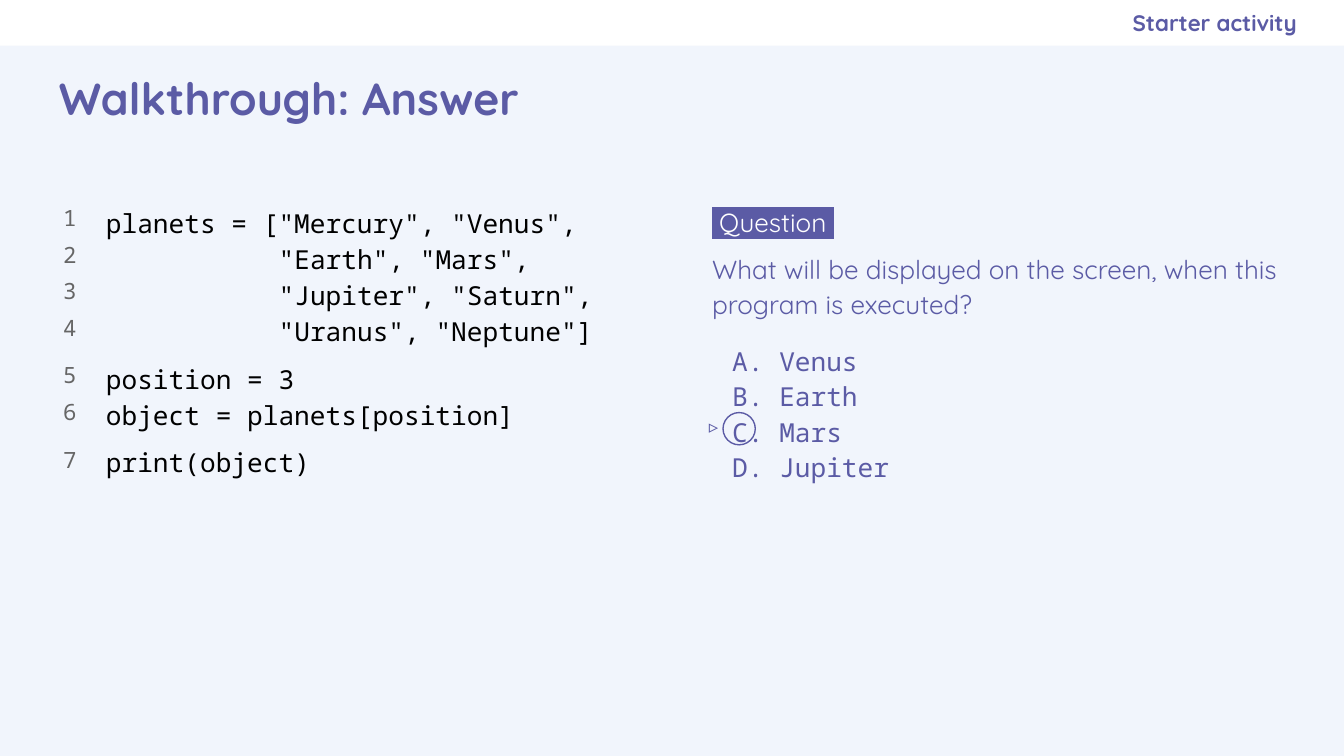
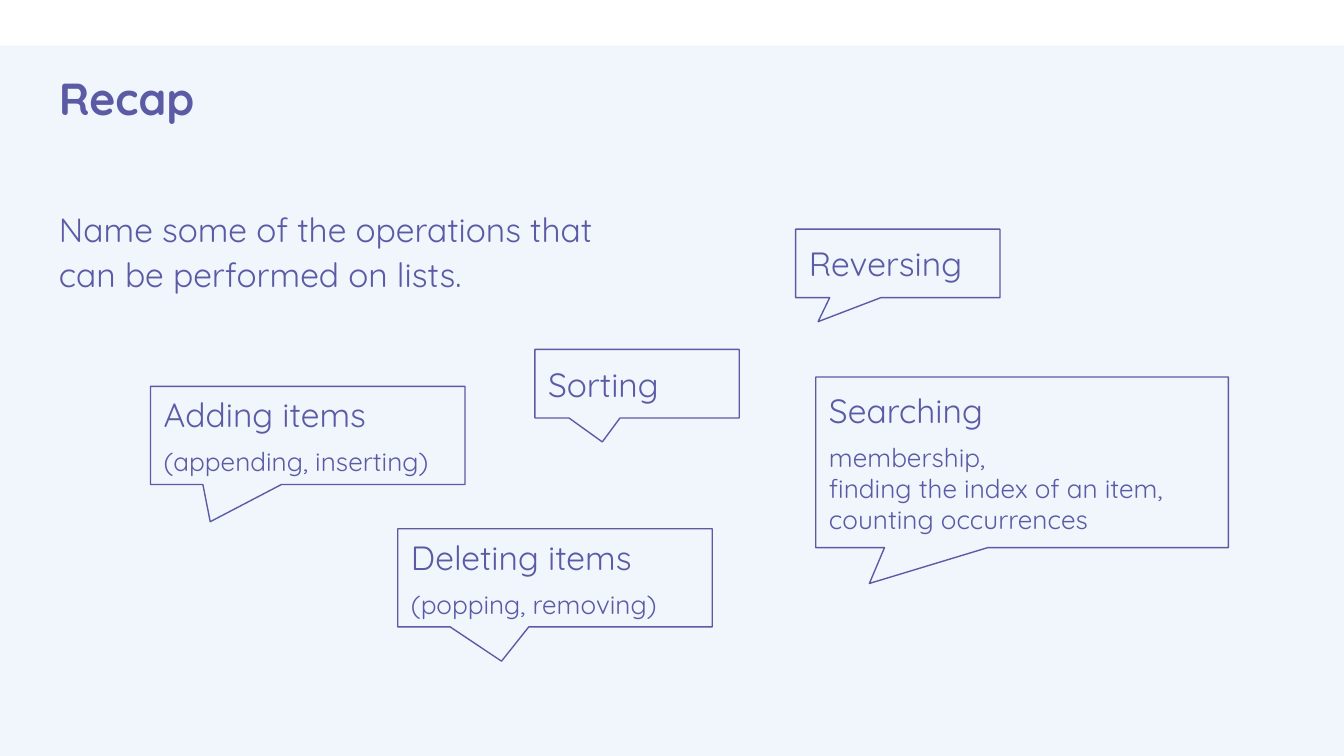
"""Builds two lesson slides: a quiz answer walkthrough and a list recap."""
from typing import NamedTuple

from lxml import etree
from pptx import Presentation
from pptx.dml.color import RGBColor
from pptx.enum.shapes import MSO_SHAPE
from pptx.enum.text import MSO_ANCHOR, PP_ALIGN
from pptx.oxml.ns import qn
from pptx.util import Emu, Pt

PURPLE = RGBColor(0x5B, 0x5B, 0xA5)
PALE_BLUE = RGBColor(0xF1, 0xF5, 0xFC)
WHITE = RGBColor(0xFF, 0xFF, 0xFF)
BLACK = RGBColor(0x00, 0x00, 0x00)
GREY = RGBColor(0x66, 0x66, 0x66)

LEFT, CENTER, RIGHT = PP_ALIGN.LEFT, PP_ALIGN.CENTER, PP_ALIGN.RIGHT
TOP, MIDDLE = MSO_ANCHOR.TOP, MSO_ANCHOR.MIDDLE
RECTANGLE, OVAL = MSO_SHAPE.RECTANGLE, MSO_SHAPE.OVAL
CALLOUT = MSO_SHAPE.ROUNDED_RECTANGULAR_CALLOUT

SANS = "Quicksand"
MONO = "Noto Sans Mono"
PX = 4572
WIDTH, HEIGHT, BAND = 2000, 1125, 68
INSETS = (20, 20, 20, 20)
BODY_INSETS = (20, 20, 12, 20)
NO_INSETS = (0, 0, 0, 0)
CODE_INDENT = 257


class Line(NamedTuple):
    """One paragraph of text and its style."""
    text: str
    size: int = 14
    color: RGBColor = PURPLE
    font: str = SANS
    bold: bool = False
    align: PP_ALIGN = LEFT
    spacing: float = 1.0
    before: int = 0
    after: int = 0
    indent: int = 0
    lettered: bool = False
    highlight: RGBColor | None = None


class Deck:
    """Holds the shared style and the current slide."""

    def __init__(self):
        self.presentation = Presentation()
        self.presentation.slide_width = Emu(WIDTH * PX)
        self.presentation.slide_height = Emu(HEIGHT * PX)
        self.slide = None

    def add_slide(self, title, section=None):
        self.slide = self.presentation.slides.add_slide(self.presentation.slide_layouts[6])
        fill = self.slide.background.fill
        fill.solid()
        fill.fore_color.rgb = PALE_BLUE
        self.shape(RECTANGLE, (0, 0, WIDTH, BAND), fill=WHITE)
        if section:
            self.text((1150, 0, 780, BAND), [Line(section, 12, bold=True, align=RIGHT)],
                      (20, 20, 0, 20), MIDDLE)
        self.text((68, BAND, 1864, 154), [Line(title, 24, bold=True)], INSETS, MIDDLE)

    def shape(self, kind, box, fill=None, outline=None):
        shape = self.slide.shapes.add_shape(kind, *(Emu(length * PX) for length in box))
        shape.shadow.inherit = False
        if fill is None:
            shape.fill.background()
        else:
            shape.fill.solid()
            shape.fill.fore_color.rgb = fill
        if outline is None:
            shape.line.fill.background()
        else:
            shape.line.color.rgb = outline
            shape.line.width = Pt(0.75)
        return shape

    def text(self, box, lines, insets=INSETS, anchor=TOP):
        textbox = self.slide.shapes.add_textbox(*(Emu(length * PX) for length in box))
        self.add_lines(textbox.text_frame, lines, insets, anchor)

    def callout(self, box, tip, lines):
        shape = self.shape(CALLOUT, box, outline=PURPLE)
        for index, value in enumerate((*tip, 0)):
            shape.adjustments[index] = value
        self.add_lines(shape.text_frame, lines, INSETS, MIDDLE)

    def add_lines(self, frame, lines, insets, anchor):
        frame.word_wrap = True
        frame.vertical_anchor = anchor
        (frame.margin_left, frame.margin_top,
         frame.margin_right, frame.margin_bottom) = (Emu(inset * PX) for inset in insets)
        for index, line in enumerate(lines):
            paragraph = frame.add_paragraph() if index else frame.paragraphs[0]
            paragraph.alignment = line.align
            paragraph.line_spacing = line.spacing
            paragraph.space_before = Pt(line.before)
            paragraph.space_after = Pt(line.after)
            self.indent(paragraph, line)
            self.add_run(paragraph, line)

    def indent(self, paragraph, line):
        properties = paragraph._p.get_or_add_pPr()
        if line.indent:
            properties.set("marL", str(line.indent * PX))
        if line.lettered:
            properties.set("indent", str(-70 * PX))
            color = etree.SubElement(properties, qn("a:buClr"))
            etree.SubElement(color, qn("a:srgbClr"), val=str(line.color))
            etree.SubElement(properties, qn("a:buFont"), typeface=line.font)
            etree.SubElement(properties, qn("a:buAutoNum"), type="alphaUcPeriod")

    def add_run(self, paragraph, line):
        run = paragraph.add_run()
        run.text = line.text
        run.font.size = Pt(line.size)
        run.font.bold = line.bold
        run.font.color.rgb = line.color
        run.font.name = line.font
        if line.highlight is not None:
            highlight = etree.Element(qn("a:highlight"))
            etree.SubElement(highlight, qn("a:srgbClr"), val=str(line.highlight))
            run._r.get_or_add_rPr().find(qn("a:solidFill")).addnext(highlight)


def build_walkthrough(deck):
    """Adds the program, the question and the marked answer."""
    deck.add_slide("Walkthrough: Answer", "Starter activity")
    options = [Line(planet, font=MONO, spacing=1.12, before=0 if index else 12,
                    indent=100, lettered=True)
               for index, planet in enumerate(("Venus", "Earth", "Mars", "Jupiter"))]
    deck.text((1040, 282, 894, 592), [
        Line(" Question ", color=WHITE, spacing=1.12, highlight=PURPLE),
        Line("What will be displayed on the screen, when this program is executed?",
             spacing=1.12, before=6),
        *options], BODY_INSETS)

    deck.shape(OVAL, (1076, 614, 48, 48), outline=PURPLE)
    pointer = deck.shape(OVAL, (1038, 610, 48, 48))
    deck.add_lines(pointer.text_frame, [Line("▹", 10, align=CENTER)], NO_INSETS, MIDDLE)

    program = (
        ('planets = ["Mercury", "Venus",', 0, 0),
        ('"Earth", "Mars",', CODE_INDENT, 0),
        ('"Jupiter", "Saturn",', CODE_INDENT, 0),
        ('"Uranus", "Neptune"]', CODE_INDENT, 0),
        ("position = 3", 0, 6),
        ("object = planets[position]", 0, 0),
        ("print(object)", 0, 6),
    )
    deck.text((138, 282, 780, 742), [
        Line(code, color=BLACK, font=MONO, spacing=1.15, before=gap, indent=indent)
        for code, indent, gap in program])
    deck.text((70, 286, 44, 742), [
        Line(str(number), 12, GREY, MONO, align=RIGHT, spacing=1.15, before=gap + 3)
        for number, (_, _, gap) in enumerate(program, 1)], (0, 12, 0, 20))


def build_recap(deck):
    """Adds the prompt and one callout for each list operation."""
    deck.add_slide("Recap")
    deck.text((68, 282, 896, 186), [
        Line("Name some of the operations that can be performed on lists.", 18,
             spacing=1.14, after=10)], BODY_INSETS)
    operations = (
        ((224, 575, 468, 146), (-0.31, 0.88), "Adding items", ("(appending, inserting)",)),
        ((592, 787, 468, 146), (-0.17, 0.85), "Deleting items", ("(popping, removing)",)),
        ((1214, 561, 614, 254), (-0.37, 0.71), "Searching",
         ("membership,", "finding the index of an item,", "counting occurrences")),
        ((1184, 341, 304, 102), (-0.39, 0.85), "Reversing", ()),
        ((796, 520, 304, 102), (-0.17, 0.85), "Sorting", ()),
    )
    for box, tip, name, details in operations:
        deck.callout(box, tip, [Line(name, 18)] + [
            Line(detail, before=0 if index else 6) for index, detail in enumerate(details)])


def main():
    """Builds and saves both slides."""
    deck = Deck()
    build_walkthrough(deck)
    build_recap(deck)
    deck.presentation.save("out.pptx")


if __name__ == "__main__":
    main()
